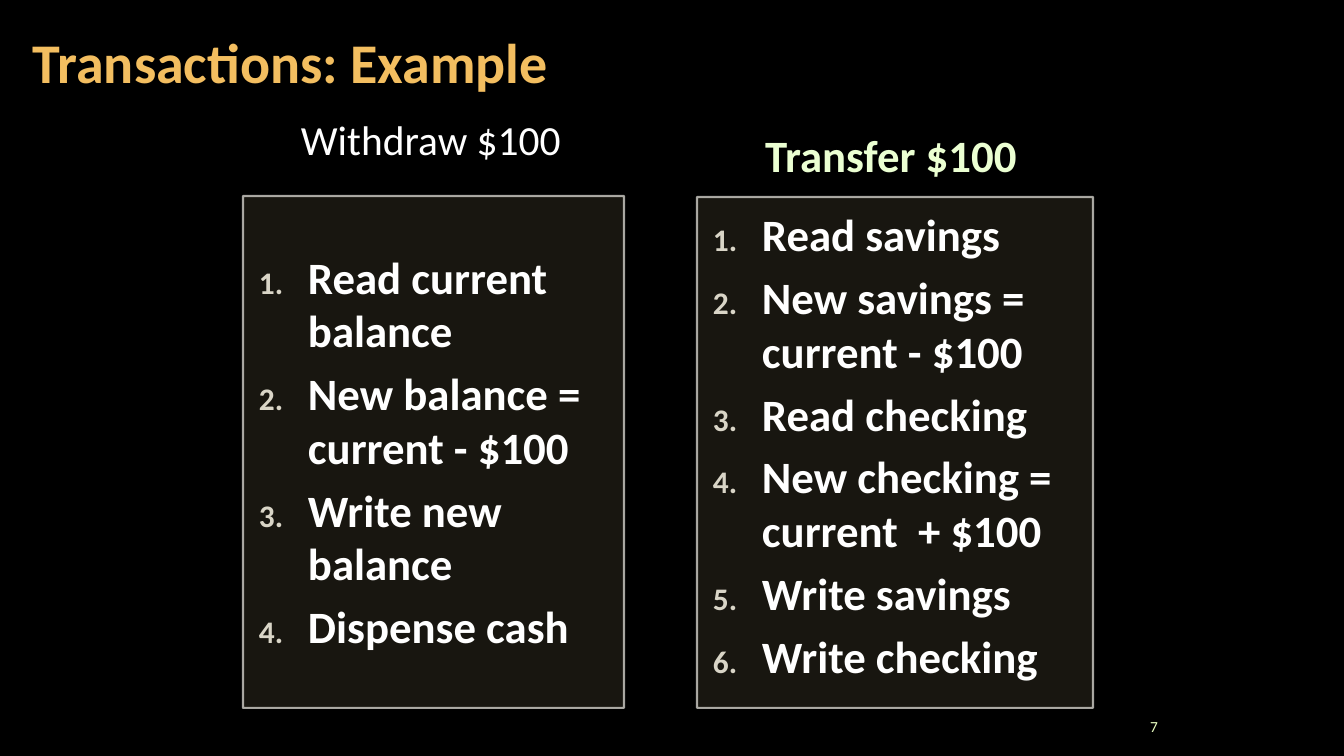
from pptx import Presentation
from pptx.dml.color import RGBColor
from pptx.enum.shapes import MSO_SHAPE
from pptx.enum.text import MSO_ANCHOR, PP_ALIGN
from pptx.oxml.ns import qn
from pptx.util import Emu, Pt
from lxml import etree

RECT = MSO_SHAPE.RECTANGLE
TOP, MIDDLE = MSO_ANCHOR.TOP, MSO_ANCHOR.MIDDLE
LEFT, CENTER, RIGHT = PP_ALIGN.LEFT, PP_ALIGN.CENTER, PP_ALIGN.RIGHT
BLACK = RGBColor(0x00, 0x00, 0x00)
WHITE = RGBColor(0xFF, 0xFF, 0xFF)
GOLD = RGBColor(0xF3, 0xBE, 0x60)
LIME = RGBColor(0xEB, 0xFF, 0xD2)
PALE_LIME = RGBColor(0xEB, 0xFF, 0xC2)
PANEL = RGBColor(0x7C, 0x71, 0x54)
BORDER = RGBColor(0xEC, 0xEA, 0xE3)
NUMBER = RGBColor(0xD9, 0xD5, 0xC7)

WITHDRAW_STEPS = [
    "Read current balance",
    "New balance =\ncurrent - $100",
    "Write new balance",
    "Dispense cash",
]
TRANSFER_STEPS = [
    "Read savings",
    "New savings =\ncurrent - $100",
    "Read checking",
    "New checking =\ncurrent  + $100",
    "Write savings",
    "Write checking",
]


def px(n):
    return Emu(round(n * 914400 / 100.8))


def add_xml(parent, tag, **attrs):
    return etree.SubElement(parent, qn(tag), attrs)


class Deck:
    font = "Calibri"

    def __init__(self, width, height):
        self.prs = Presentation()
        self.prs.slide_width, self.prs.slide_height = px(width), px(height)

    def add_slide(self, color):
        self.s = self.prs.slides.add_slide(self.prs.slide_layouts[6])
        fill = self.s.background.fill
        fill.solid()
        fill.fore_color.rgb = color

    def frame(self, sp, anchor, insets):
        tf = sp.text_frame
        tf.word_wrap = True
        tf.vertical_anchor = anchor
        (tf.margin_left, tf.margin_top,
         tf.margin_right, tf.margin_bottom) = map(px, insets)
        return tf

    def run(self, p, text, size, color, bold):
        r = p.add_run()
        r.text = text
        f = r.font
        f.name, f.size, f.bold = self.font, Pt(size), bold
        f.color.rgb = color

    def text(self, box, text, size, color, bold=False, align=LEFT,
             anchor=TOP, insets=(10, 5, 10, 5), spacing=1.0):
        sp = self.s.shapes.add_textbox(*map(px, box))
        p = self.frame(sp, anchor, insets).paragraphs[0]
        p.alignment = align
        p.line_spacing = spacing
        self.run(p, text, size, color, bold)

    def number(self, p):
        pPr = p._p.get_or_add_pPr()
        pPr.set("marL", str(px(49)))
        pPr.set("indent", str(px(-49)))
        add_xml(add_xml(pPr, "a:buClr"), "a:srgbClr", val=str(NUMBER))
        add_xml(pPr, "a:buSzPct", val="70000")
        add_xml(pPr, "a:buFont", typeface=self.font)
        add_xml(pPr, "a:buAutoNum", type="arabicPeriod")

    def panel(self, box, steps, anchor):
        sp = self.s.shapes.add_shape(RECT, *map(px, box))
        sp.shadow.inherit = False
        sp.fill.solid()
        sp.fill.fore_color.rgb = PANEL
        sp.line.color.rgb = BORDER
        sp.line.width = Pt(1.5)
        colors = sp._element.spPr.iter(qn("a:srgbClr"))
        for color, alpha in zip(colors, ("20000", "70000")):
            add_xml(color, "a:alpha", val=alpha)
        tf = self.frame(sp, anchor, (16, 10, 16, 12))
        for i, step in enumerate(steps):
            p = tf.add_paragraph() if i else tf.paragraphs[0]
            self.number(p)
            p.alignment = LEFT
            if i:
                p.space_before = Pt(6.4)
            for j, line in enumerate(step.split("\n")):
                if j:
                    p.add_line_break()
                self.run(p, line, 32, WHITE, True)


def main():
    deck = Deck(1344, 756)
    deck.add_slide(BLACK)
    deck.text((21, 4, 1055, 122), "Transactions: Example", 40, GOLD, True,
              anchor=MIDDLE, insets=(12, 4, 12, 4), spacing=0.9)
    deck.text((246, 118, 370, 55), "Withdraw $100", 29.6, WHITE,
              align=CENTER, insets=(12, 4, 12, 4), spacing=0.85)
    deck.panel((697, 197, 396, 511), TRANSFER_STEPS, TOP)
    deck.panel((243, 196, 381, 512), WITHDRAW_STEPS, MIDDLE)
    deck.text((697, 120, 388, 55), "Transfer $100", 32, LIME, True,
              align=CENTER, spacing=1.05)
    deck.text((1118, 714, 50, 25), "7", 11, PALE_LIME,
              align=RIGHT, anchor=MIDDLE)
    deck.prs.save("out.pptx")


if __name__ == "__main__":
    main()
